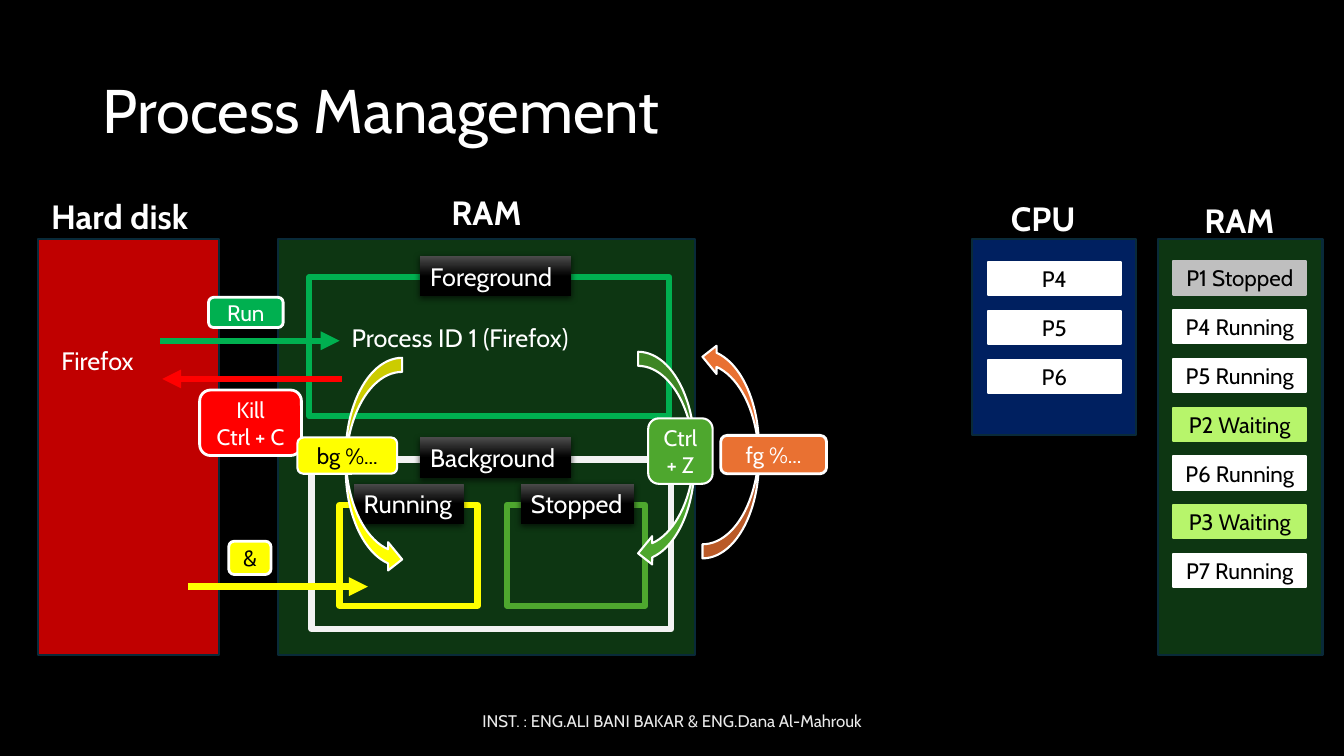
import pptx
import pptx.dml.color
import pptx.enum.shapes
import pptx.enum.text
import pptx.oxml.ns
import pptx.util
from lxml import etree

Pt = pptx.util.Pt
SHAPES = pptx.enum.shapes.MSO_SHAPE
ALIGN = pptx.enum.text.PP_ALIGN
ANCHOR = pptx.enum.text.MSO_ANCHOR
FIT = pptx.enum.text.MSO_AUTO_SIZE
FONT = "Cabin"

COLORS = {
    "black": "000000", "white": "FFFFFF", "footer": "EAEAEA", "frame": "F2F2F2",
    "edge": "092A39", "disk": "C00000", "memory": "0D3612", "processor": "002060",
    "run": "00B050", "kill": "FF0000", "yellow": "FFFF00", "green": "4EA72E",
    "orange": "E97132", "stopped": "BFBFBF", "waiting": "B7F56B", "sheen": "4B4B4B",
}


def rgb(name):
    return pptx.dml.color.RGBColor.from_string(COLORS[name])


def points(*lengths):
    return [Pt(length) for length in lengths]


def add_xml(parent, tag, **attributes):
    return etree.SubElement(parent, pptx.oxml.ns.qn(tag), attributes)


def write(shape, text, size, color="white", align=ALIGN.CENTER, anchor=ANCHOR.MIDDLE, bold=False):
    frame = shape.text_frame
    frame.text = text
    frame.word_wrap = True
    frame.vertical_anchor = anchor
    for paragraph in frame.paragraphs:
        paragraph.alignment = align
        for run in paragraph.runs:
            run.font.name = FONT
            run.font.size = Pt(size)
            run.font.bold = bold
            run.font.color.rgb = rgb(color)


def fit_to_text(shape):
    shape.text_frame.word_wrap = False
    shape.text_frame.auto_size = FIT.SHAPE_TO_FIT_TEXT


def add_caption(slide, box, text, size=24, bold=True):
    caption = slide.shapes.add_textbox(*points(*box))
    write(caption, text, size, align=ALIGN.LEFT, anchor=ANCHOR.TOP, bold=bold)
    fit_to_text(caption)


def add_block(slide, kind, box, fill, line, width=1.5):
    block = slide.shapes.add_shape(kind, *points(*box))
    block.shadow.inherit = False
    if fill:
        block.fill.solid()
        block.fill.fore_color.rgb = rgb(fill)
    else:
        block.fill.background()
    block.line.color.rgb = rgb(line)
    block.line.width = Pt(width)
    return block


def add_panel(slide, box, fill):
    add_block(slide, SHAPES.RECTANGLE, box, fill, "edge")


def add_frame(slide, box, line):
    add_block(slide, SHAPES.RECTANGLE, box, None, line, 4.5)


def add_button(slide, box, text, fill, color="white", width=2):
    button = add_block(slide, SHAPES.ROUNDED_RECTANGLE, box, fill, "white", width)
    write(button, text, 16, color)


def add_label(slide, box, text):
    """Glossy black tab with a soft shadow below it."""
    label = slide.shapes.add_shape(SHAPES.RECTANGLE, *points(*box))
    label.fill.gradient()
    label.fill.gradient_angle = 270
    for stop, position, color in zip(label.fill.gradient_stops, (0, 0.5), ("sheen", "black")):
        stop.position = position
        stop.color.rgb = rgb(color)
    label.line.fill.background()
    label.shadow.inherit = False
    effects = label.element.spPr.find(pptx.oxml.ns.qn("a:effectLst"))
    shadow = add_xml(effects, "a:outerShdw", blurRad=str(Pt(4.5)), dist=str(Pt(1.5)),
                     dir="5400000", algn="ctr", rotWithShape="0")
    shade = add_xml(shadow, "a:srgbClr", val=COLORS["black"])
    add_xml(shade, "a:alpha", val="63000")
    write(label, text, 18, align=ALIGN.LEFT, anchor=ANCHOR.TOP)
    fit_to_text(label)


def add_arrow(slide, start, end, top, color):
    arrow = slide.shapes.add_connector(pptx.enum.shapes.MSO_CONNECTOR.STRAIGHT,
                                       *points(start, top, end, top))
    arrow.line.color.rgb = rgb(color)
    arrow.line.width = Pt(4.5)
    add_xml(arrow.line._get_or_add_ln(), "a:tailEnd", type="triangle")
    add_xml(arrow.element.spPr, "a:effectLst")


def add_curved_arrow(slide, left, top, fill, flip=None):
    arrow = add_block(slide, SHAPES.CURVED_LEFT_ARROW, (left, top, 40.3, 154.1), fill, "white")
    if flip:
        arrow.element.spPr.find(pptx.oxml.ns.qn("a:xfrm")).set(flip, "1")


def add_process_stack(slide, left, top, processes):
    for row, (text, fill) in enumerate(processes):
        cell = add_block(slide, SHAPES.RECTANGLE, (left, top + row * 34.85, 95, 23.8), fill, fill)
        write(cell, text, 16, "black")


def add_title_and_footer(slide):
    title = slide.shapes.title
    title.left, title.top, title.width, title.height = points(66, 28.8, 828, 104.4)
    write(title, "Process Management", 44, align=ALIGN.LEFT)
    title.text_frame.auto_size = FIT.NONE
    title.text_frame.paragraphs[0].line_spacing = 0.9
    footer = slide.shapes.add_textbox(*points(318.2, 500.4, 324, 28.8))
    write(footer, "INST. : ENG.ALI BANI BAKAR & ENG.Dana Al-Mahrouk", 12, "footer")


def add_job_control(slide):
    # Hard disk and memory
    add_panel(slide, (27.4, 171, 128.9, 296.6), "disk")
    add_panel(slide, (198.7, 171, 298.1, 296.6), "memory")
    add_caption(slide, (29.5, 136.1, 119.5, 36), "Hard disk")
    add_caption(slide, (315.4, 133.2, 64.8, 36), "RAM")
    add_caption(slide, (36.7, 243.4, 66.2, 28.8), "Firefox", 18, False)

    # Starting a process
    add_arrow(slide, 114.5, 242.6, 243.4, "run")
    add_caption(slide, (244.1, 226.8, 177.8, 28.8), "Process ID 1 (Firefox)", 18, False)
    add_button(slide, (149, 212.4, 53.3, 21.6), "Run", "run")

    # Foreground and background areas
    for frame, line, label, text in (
        ((221, 198, 257, 99.4), "run", (300.2, 182.9, 108, 28.8), "Foreground"),
        ((222.5, 328.3, 257, 121), "frame", (300.2, 312.5, 108, 28.8), "Background"),
        ((242.6, 360.7, 98.6, 72), "yellow", (252.7, 345.6, 78.5, 28.8), "Running"),
        ((362.2, 360.7, 98.6, 72), "green", (372.2, 345.6, 80.6, 28.8), "Stopped"),
    ):
        add_frame(slide, frame, line)
        add_label(slide, label, text)

    # Killing, and starting in the background
    add_arrow(slide, 244.1, 115.9, 270.7, "kill")
    add_button(slide, (142.6, 278.6, 72.7, 46.8), "Kill\nCtrl + C", "kill")
    add_arrow(slide, 134.6, 262.8, 419, "yellow")
    add_button(slide, (163.4, 386.6, 30.2, 23.8), "&", "yellow", "black")

    # Moving between the areas
    add_curved_arrow(slide, 455.8, 251.3, "green")
    add_curved_arrow(slide, 501.8, 244.8, "orange", "flipV")
    add_button(slide, (514.8, 311, 75.6, 27.4), "fg %...", "orange")
    add_button(slide, (463, 298.8, 46.1, 46.8), "Ctrl + Z", "green", width=1.5)
    add_curved_arrow(slide, 247, 255.6, "yellow", "flipH")
    add_button(slide, (212.4, 312.5, 71.3, 25.9), "bg %...", "yellow", "black", 1.5)


def add_scheduling(slide):
    add_panel(slide, (827.3, 171, 117.4, 296.6), "memory")
    add_panel(slide, (694.1, 171, 117.4, 139.7), "processor")
    add_caption(slide, (715, 138.2, 63.4, 36), "CPU")
    add_caption(slide, (853.2, 139, 64.8, 36), "RAM")
    add_process_stack(slide, 838.1, 186.6, [
        ("P1 Stopped", "stopped"), ("P4 Running", "white"), ("P5 Running", "white"),
        ("P2 Waiting", "waiting"), ("P6 Running", "white"), ("P3 Waiting", "waiting"),
        ("P7 Running", "white"),
    ])
    add_process_stack(slide, 705.6, 187.2, [(name, "white") for name in ("P4", "P5", "P6")])


def main():
    presentation = pptx.Presentation()
    presentation.slide_width, presentation.slide_height = points(960, 540)
    slide = presentation.slides.add_slide(presentation.slide_layouts[5])
    slide.background.fill.solid()
    slide.background.fill.fore_color.rgb = rgb("black")
    add_title_and_footer(slide)
    add_job_control(slide)
    add_scheduling(slide)
    presentation.save("out.pptx")


if __name__ == "__main__":
    main()
